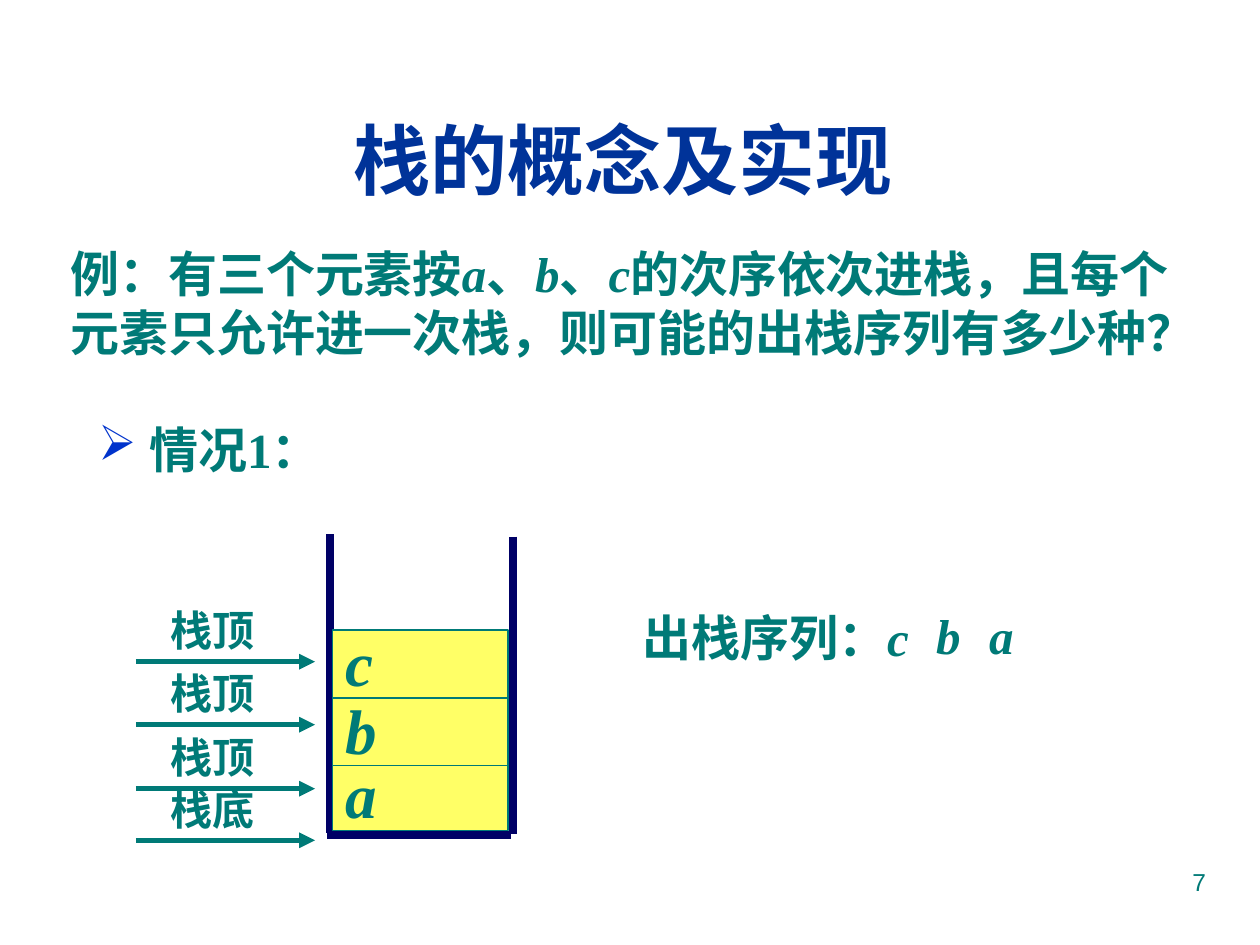
from lxml import etree
from pptx import Presentation
from pptx.dml.color import RGBColor
from pptx.enum import shapes, text
from pptx.oxml import ns
from pptx.util import Cm, Pt

TEAL, TITLE_BLUE, BULLET_BLUE = "007A77", "003399", "0033CC"
NAVY, YELLOW = "000066", "FFFF66"
SERIF, SANS = "Times New Roman", "Arial"


def color(hex_value):
    return RGBColor.from_string(hex_value)


def set_text(frame, parts, size, hue=TEAL, face=SERIF, bold=True,
             align=text.PP_ALIGN.LEFT, anchor=text.MSO_ANCHOR.TOP):
    """Write (wording, italic) parts as runs of one paragraph."""
    frame.word_wrap = True
    frame.vertical_anchor = anchor
    paragraph = frame.paragraphs[0]
    paragraph.alignment = align
    for wording, italic in parts:
        run = paragraph.add_run()
        run.text = wording
        font = run.font
        font.size, font.name = Pt(size), face
        font.bold, font.italic = bold, italic
        font.color.rgb = color(hue)


def add_text(parent, box, parts, size, inset=0.25, **style):
    frame = parent.shapes.add_textbox(*map(Cm, box)).text_frame
    frame.margin_left = frame.margin_right = Cm(inset)
    set_text(frame, parts, size, **style)
    return frame


def add_bullet(paragraph, mark, hue, indent):
    props = paragraph._p.get_or_add_pPr()
    props.set("marL", str(Cm(indent)))
    props.set("indent", str(-Cm(indent)))
    bullet_color = etree.SubElement(props, ns.qn("a:buClr"))
    etree.SubElement(bullet_color, ns.qn("a:srgbClr"), val=hue)
    etree.SubElement(props, ns.qn("a:buChar"), char=mark)


def add_line(parent, ends, hue, width, arrow=False):
    connector = parent.shapes.add_connector(
        shapes.MSO_CONNECTOR.STRAIGHT, *map(Cm, ends))
    connector.line.color.rgb = color(hue)
    connector.line.width = Pt(width)
    if arrow:
        etree.SubElement(connector.line._get_or_add_ln(),
                         ns.qn("a:tailEnd"), type="triangle")
    etree.SubElement(connector._element.spPr, ns.qn("a:effectLst"))


def add_pointer(slide, label, y):
    """Arrow towards the stack with its label above."""
    pointer = slide.shapes.add_group_shape()
    add_line(pointer, (2.74, y, 6.35, y), TEAL, 3, arrow=True)
    add_text(pointer, (3.18, y - 1.27, 2.54, 1.27), [(label, False)], 24)


def add_element(slide, letter, top):
    element = slide.shapes.add_shape(
        shapes.MSO_SHAPE.RECTANGLE, Cm(6.71), Cm(top), Cm(3.53), Cm(1.37))
    element.shadow.inherit = False
    element.fill.solid()
    element.fill.fore_color.rgb = color(YELLOW)
    element.line.color.rgb = color(TEAL)
    element.line.width = Pt(0.75)
    element.text_frame.margin_top = 0
    set_text(element.text_frame, [(letter, True)], 36,
             anchor=text.MSO_ANCHOR.MIDDLE)


def main():
    prs = Presentation()
    prs.slide_width, prs.slide_height = Cm(25.4), Cm(19.05)
    slide = prs.slides.add_slide(prs.slide_layouts[6])

    # Title and question
    add_text(slide, (0.71, 1.6, 23.72, 3.18), [("栈的概念及实现", False)], 44,
             hue=TITLE_BLUE, face=SANS, align=text.PP_ALIGN.CENTER,
             anchor=text.MSO_ANCHOR.MIDDLE)
    question = [
        ("例：有三个元素按", False), ("a", True), ("、", False), ("b", True),
        ("、", False), ("c", True),
        ("的次序依次进栈，且每个元素只允许进一次栈，则可能的出栈序列有多少种？", False),
    ]
    add_text(slide, (1.42, 4.78, 23.01, 2.64), question, 28, inset=0)

    # Stack walls and floor
    for ends in ((6.65, 10.77, 6.65, 16.79), (6.6, 16.84, 10.31, 16.84),
                 (10.34, 10.82, 10.34, 16.81)):
        add_line(slide, ends, NAVY, 4.5)

    # Bottom and top pointers, and the elements from the bottom up
    for label, y in (("栈底", 16.94), ("栈顶", 15.9),
                     ("栈顶", 14.61), ("栈顶", 13.34)):
        add_pointer(slide, label, y)
    for letter, top in (("a", 15.37), ("b", 14.07), ("c", 12.7)):
        add_element(slide, letter, top)

    # Case heading
    case = add_text(slide, (1.73, 8.33, 5.99, 1.45), [("情况1：", False)], 28)
    add_bullet(case.paragraphs[0], "➢", BULLET_BLUE, 1.03)

    # Output sequence
    add_text(slide, (12.7, 12.12, 9.75, 1.45),
             [("出栈序列：", False), ("c", True)], 28)
    for letter, left in (("b", 18.62), ("a", 19.69)):
        add_text(slide, (left, 12.09, 1.7, 1.45), [(letter, True)], 28)

    # Page number
    add_text(slide, (18.21, 17.35, 6.35, 1.32), [("7", False)], 14,
             face=SANS, bold=False, align=text.PP_ALIGN.RIGHT)

    prs.save("out.pptx")


if __name__ == "__main__":
    main()
